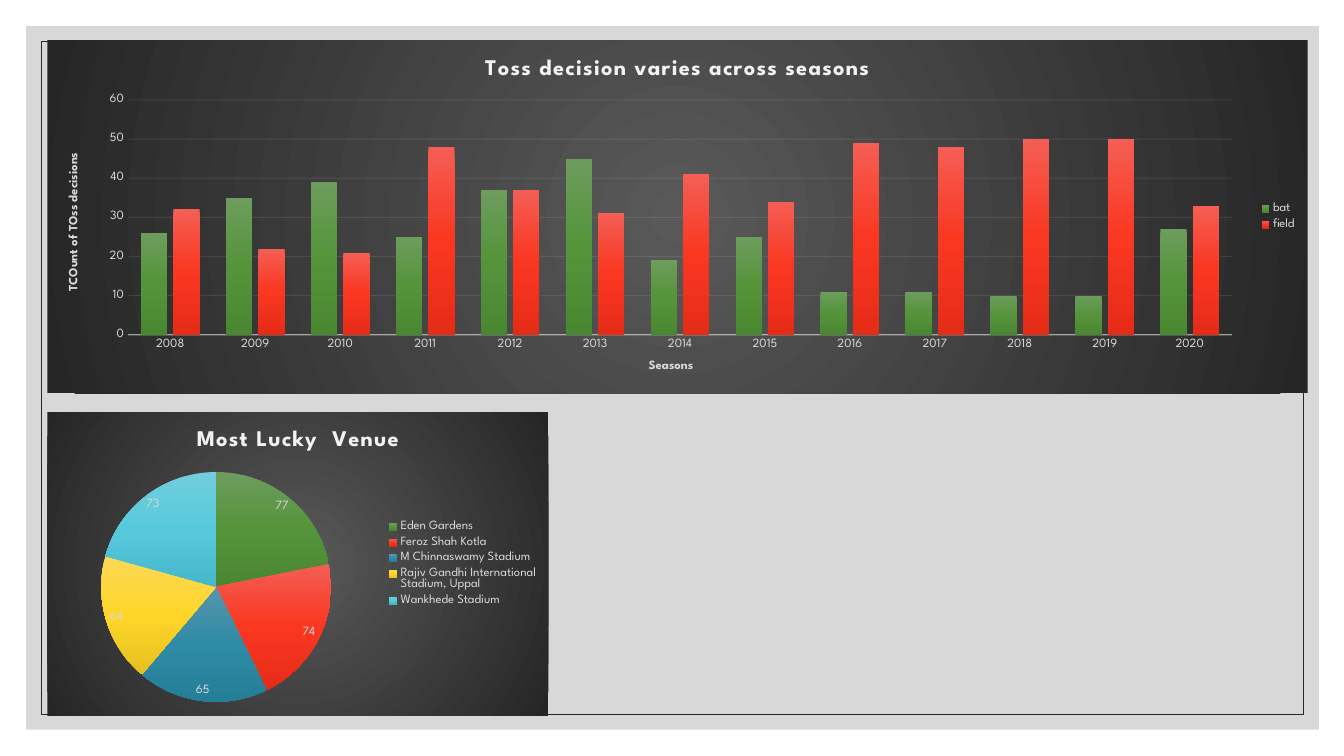
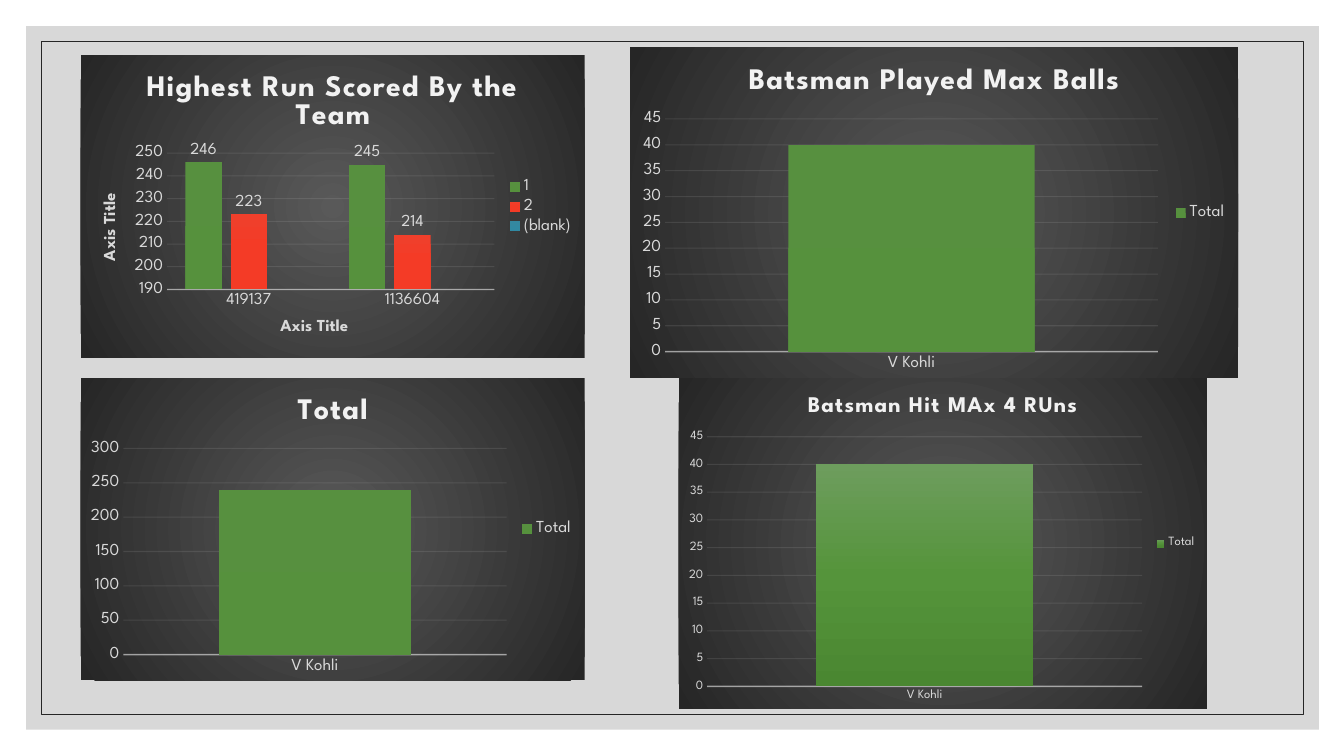
from pptx import Presentation
from pptx import util as u
from pptx.chart.data import CategoryChartData
from pptx.dml.color import RGBColor
from pptx.enum import chart as ch, shapes
from pptx.oxml import ns, parse_xml

FACE = "League Spartan"
PALE = RGBColor(0xF2, 0xF2, 0xF2)
SOFT = RGBColor(0xD9, 0xD9, 0xD9)
MIST = RGBColor(0xBF, 0xBF, 0xBF)
DARK = RGBColor(0x26, 0x26, 0x26)
SLATE = RGBColor(0x59, 0x59, 0x59)
WHITE = RGBColor(0xFF, 0xFF, 0xFF)


def ramp(*codes):
    """Turn hex codes into a list of colours."""
    return [RGBColor.from_string(code) for code in codes]


GREEN = ramp("6D9D5D", "55943B", "4A8731")
RED = ramp("F45E54", "FA3721", "E52C17")
BLUE = ramp("5796AC", "2F8BA5", "257E98")
GOLD = ramp("FBD856", "FFD628", "E5C021")
AQUA = ramp("72CDDC", "56CADC", "45B9CB")
LEAF = ramp("57903F", "56913D", "55913C")
ROSE = ramp("F03F2B", "F43B26", "F33B26")
TEAL = ramp("3488A0", "3189A2", "3188A1")

COLUMN = {"gap_width": 100, "overlap": -24, "vary_by_categories": False}
LEGEND = {"position": ch.XL_LEGEND_POSITION.RIGHT, "include_in_layout": False}
TICKS = {"major_tick_mark": ch.XL_TICK_MARK.NONE,
         "minor_tick_mark": ch.XL_TICK_MARK.NONE}


def style(item, values):
    """Set each named value on an item."""
    for name, value in values.items():
        setattr(item, name, value)


def fade(node, share):
    """Give a colour node an opacity in percent."""
    node.append(parse_xml(f'<a:alpha {ns.nsdecls("a")} val="{share * 1000}"/>'))


def blend(colors, way):
    """Return a gradient fill with evenly spaced stops."""
    step = 100000 // (len(colors) - 1)
    stops = "".join(f'<a:gs pos="{i * step}"><a:srgbClr val="{c}"/></a:gs>'
                    for i, c in enumerate(colors))
    return parse_xml(f'<a:gradFill {ns.nsdecls("a")} rotWithShape="1">'
                     f'<a:gsLst>{stops}</a:gsLst>{way}</a:gradFill>')


DOWN = '<a:lin ang="5400000" scaled="0"/>'
ROUND = ('<a:path path="circle"><a:fillToRect l="50000" t="50000" '
         'r="50000" b="50000"/></a:path>')


class Deck:
    """Holds the deck style and the current slide."""

    def __init__(self):
        """Start a wide deck."""
        self.prs = Presentation()
        style(self.prs, {"slide_width": u.Inches(13.33),
                         "slide_height": u.Inches(7.5)})
        self.slide = None

    def page(self):
        """Add a blank slide."""
        self.slide = self.prs.slides.add_slide(self.prs.slide_layouts[6])

    def frame(self):
        """Put the grey panel and the thin border on the master."""
        master = self.prs.slide_master
        master.background.fill.solid()
        master.background.fill.fore_color.rgb = WHITE
        panel = self.rect(0.26, 0.26, 12.82, 6.98)
        panel.fill.solid()
        panel.fill.fore_color.rgb = MIST
        panel.line.fill.background()
        fade(panel.element.xpath("p:spPr/a:solidFill/a:srgbClr")[0], 60)
        border = self.rect(0.41, 0.41, 12.52, 6.68)
        border.fill.background()
        border.line.color.rgb = DARK
        border.line.width = u.Pt(0.5)
        for i, shape in enumerate((panel, border)):
            shape.element.xpath("p:nvSpPr/p:cNvPr")[0].set("id", str(101 + i))
            master.shapes.element.insert(2 + i, shape.element)

    def rect(self, *box):
        """Add a rectangle without shadow."""
        shape = self.slide.shapes.add_shape(
            shapes.MSO_SHAPE.RECTANGLE, *map(u.Inches, box))
        shape.shadow.inherit = False
        return shape

    def font(self, font, size, color=SOFT, bold=False):
        """Format a font."""
        style(font, {"name": FACE, "size": u.Pt(size), "bold": bold})
        font.color.rgb = color

    def head(self, owner, words, size, color=SOFT):
        """Give a chart or an axis a bold title."""
        frame = (owner.chart_title if hasattr(owner, "chart_title")
                 else owner.axis_title).text_frame
        frame.text = words
        self.font(frame.paragraphs[0].runs[0].font, size, color, True)

    def chart(self, kind, box, title, big, small, cats, rows):
        """Add a chart on a dark glow with title and legend."""
        data = CategoryChartData()
        data.categories = cats
        for name, vals in rows:
            data.add_series(name, vals)
        chart = self.slide.shapes.add_chart(
            kind, *map(u.Inches, box), data).chart
        self.font(chart.font, small)
        self.head(chart, title, big, PALE)
        chart.element.xpath("c:chart/c:title//a:rPr")[0].set("spc", "100")
        chart.has_legend = True
        style(chart.legend, LEGEND)
        self.font(chart.legend.font, small)
        back = parse_xml(f'<c:spPr {ns.nsdecls("c", "a")}>'
                         '<a:ln><a:noFill/></a:ln></c:spPr>')
        back.insert(0, blend([SLATE, DARK], ROUND))
        chart.element.xpath("c:chart")[0].addnext(back)
        return chart

    def tint(self, chart, parts, place, ramps):
        """Fill series or points with gradients."""
        for part in parts:
            part.format.fill.solid()
        for node, colors in zip(chart.element.xpath(place), ramps):
            node.replace(node[0], blend(colors, DOWN))

    def label(self, series, size, spot):
        """Show the values of a series."""
        style(series.data_labels, {"show_value": True, "position": spot})
        self.font(series.data_labels.font, size)

    def bars(self, box, title, big, small, cats, rows, ramps,
             names=(), span=None, step=None, shown=False):
        """Add a column chart."""
        chart = self.chart(ch.XL_CHART_TYPE.COLUMN_CLUSTERED, box, title,
                           big, small, cats, rows)
        plot = chart.plots[0]
        style(plot, COLUMN)
        self.tint(chart, plot.series, ".//c:ser/c:spPr", ramps)
        for series in plot.series:
            series.invert_if_negative = False
            if shown:
                self.label(series, small, ch.XL_LABEL_POSITION.OUTSIDE_END)
        base, side = chart.category_axis, chart.value_axis
        for axis in (base, side):
            style(axis, TICKS)
            self.font(axis.tick_labels.font, small)
        for axis, name in zip((base, side), names):
            self.head(axis, name, small)
        style(side, {"minimum_scale": span[0], "maximum_scale": span[1],
                     "major_unit": step, "has_major_gridlines": True})
        side.format.line.fill.background()
        rules = ((base, 1, "c:catAx/c:spPr", 54),
                 (side.major_gridlines, 0.75, "c:majorGridlines", 10))
        for item, width, place, share in rules:
            item.format.line.color.rgb = PALE
            item.format.line.width = u.Pt(width)
            fade(chart.element.xpath(f".//{place}//a:srgbClr")[0], share)

    def pie(self, box, title, big, small, cats, vals, ramps):
        """Add a pie chart."""
        chart = self.chart(ch.XL_CHART_TYPE.PIE, box, title, big, small,
                           cats, [("Series 1", vals)])
        series = chart.plots[0].series[0]
        points = [series.points[i] for i in range(len(vals))]
        self.tint(chart, points, ".//c:dPt/c:spPr", ramps)
        self.label(series, small, ch.XL_LABEL_POSITION.BEST_FIT)


def main():
    """Build both slides."""
    deck = Deck()
    deck.page()
    deck.frame()
    deck.bars((0.47, 0.4, 12.5, 3.5), "Toss decision varies across seasons",
              16, 9, [str(year) for year in range(2008, 2021)],
              [("bat", (26, 35, 39, 25, 37, 45, 19, 25, 11, 11, 10, 10, 27)),
               ("field", (32, 22, 21, 48, 37, 31, 41, 34, 49, 48, 50, 50, 33))],
              (GREEN, RED), ("Seasons", "TCOunt of TOss decisions"),
              (0, 60), 10)
    deck.pie((0.47, 4.09, 4.97, 3.01), "Most Lucky  Venue", 16, 9,
             ("Eden Gardens", "Feroz Shah Kotla", "M Chinnaswamy Stadium",
              "Rajiv Gandhi International Stadium, Uppal",
              "Wankhede Stadium"),
             (77, 74, 65, 64, 73), (GREEN, RED, BLUE, GOLD, AQUA))

    deck.page()
    deck.bars((0.8, 0.55, 5, 3), "Highest Run Scored By the Team", 21.3, 12,
              ("419137", "1136604"),
              [("1", (246, 245)), ("2", (223, 214)), ("(blank)", (None, None))],
              (LEAF, ROSE, TEAL), ("Axis Title", "Axis Title"),
              (190, 250), 10, True)
    singles = (
        ((6.25, 0.47, 6.03, 3.28), "Batsman Played Max Balls",
         21.3, 12, 40, LEAF, 45, 5),
        ((0.8, 3.75, 5, 3), "Total", 21.3, 12, 240, LEAF, 300, 50),
        ((6.73, 3.75, 5.24, 3.28), "Batsman Hit MAx 4 RUns",
         16, 9, 40, GREEN, 45, 5))
    for box, title, big, small, val, colors, top, step in singles:
        deck.bars(box, title, big, small, ("V Kohli",), [("Total", (val,))],
                  (colors,), span=(0, top), step=step)
    deck.prs.save("out.pptx")


if __name__ == "__main__":
    main()
